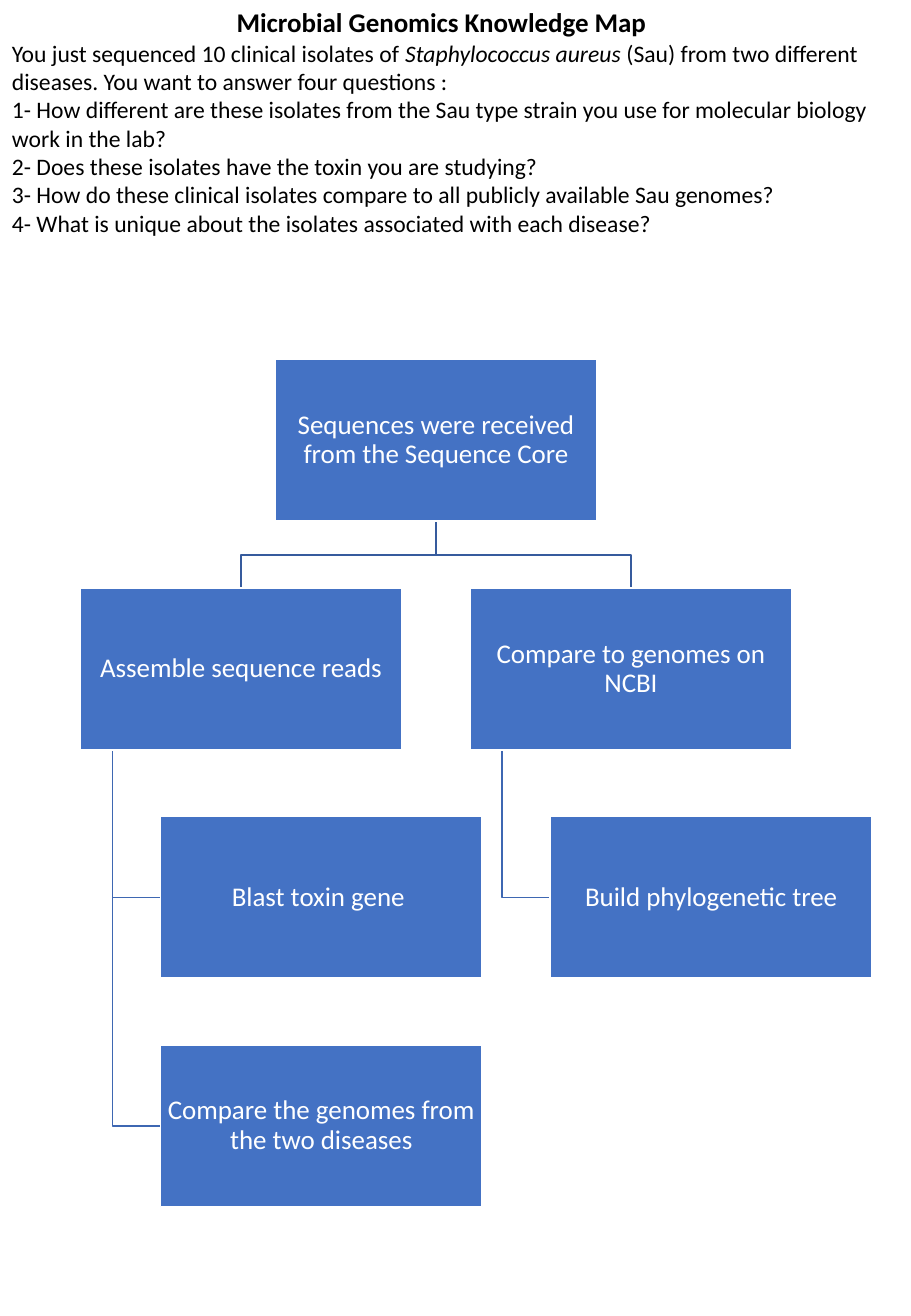
from pptx import Presentation
from pptx import util as u
from pptx.dml.color import RGBColor
from pptx.enum import shapes, text

BLUE = RGBColor(0x44, 0x72, 0xC4)
BRANCH = RGBColor(0x36, 0x5B, 0x9D)
TWIG = RGBColor(0x3E, 0x67, 0xB2)
WHITE = RGBColor(0xFF, 0xFF, 0xFF)
BLACK = RGBColor(0, 0, 0)

LEFT, TOP = 0.66, 2.96
COL, ROW, INDENT = 3.21, 1.88, 0.66
BOX_W, BOX_H = 2.65, 1.33

prs = Presentation()
prs.slide_width, prs.slide_height = u.Inches(7.5), u.Inches(10.83)
s = prs.slides.add_slide(prs.slide_layouts[6])


def add_run(p, words, size, color, bold=False, italic=False):
    r = p.add_run()
    r.text = words
    r.font.name = "Calibri"
    r.font.size = u.Pt(size)
    r.font.color.rgb = color
    r.font.bold = bold
    r.font.italic = italic


def add_elbow(points, color):
    pts = [(u.Inches(x), u.Inches(y)) for x, y in points]
    fb = s.shapes.build_freeform(*pts[0])
    fb.add_line_segments(pts[1:], close=False)
    sp = fb.convert_to_shape()
    sp.shadow.inherit = False
    sp.fill.background()
    sp.line.color.rgb = color
    sp.line.width = u.Pt(1)


root_x = LEFT + COL / 2 + BOX_W / 2
root_bottom, branch_top = TOP + BOX_H, TOP + ROW
mid_y = (root_bottom + branch_top) / 2
for col, children in enumerate([2, 1]):
    x = LEFT + col * COL
    branch_x = x + BOX_W / 2
    add_elbow([(root_x, root_bottom), (root_x, mid_y),
               (branch_x, mid_y), (branch_x, branch_top)], BRANCH)
    stem_x = x + BOX_W / 10
    for child in range(children):
        y = TOP + (2 + child) * ROW + BOX_H / 2
        add_elbow([(stem_x, branch_top + BOX_H), (stem_x, y), (x + INDENT, y)], TWIG)

boxes = [
    (0.5, 0, 0, "Sequences were received from the Sequence Core"),
    (0, 1, 0, "Assemble sequence reads"),
    (0, 2, 1, "Blast toxin gene "),
    (0, 3, 1, "Compare the genomes from the two diseases"),
    (1, 1, 0, "Compare to genomes on NCBI"),
    (1, 2, 1, "Build phylogenetic tree"),
]
for col, row, level, label in boxes:
    sp = s.shapes.add_shape(
        shapes.MSO_SHAPE.RECTANGLE,
        u.Inches(LEFT + col * COL + level * INDENT), u.Inches(TOP + row * ROW),
        u.Inches(BOX_W), u.Inches(BOX_H))
    sp.shadow.inherit = False
    sp.fill.solid()
    sp.fill.fore_color.rgb = BLUE
    sp.line.color.rgb = WHITE
    sp.line.width = u.Pt(1)
    tf = sp.text_frame
    tf.word_wrap = True
    tf.vertical_anchor = text.MSO_ANCHOR.MIDDLE
    tf.margin_left = tf.margin_right = tf.margin_top = tf.margin_bottom = u.Inches(0.01)
    p = tf.paragraphs[0]
    p.alignment = text.PP_ALIGN.CENTER
    p.line_spacing = 0.9
    add_run(p, label, 16, WHITE)

tf = s.shapes.add_textbox(0, 0, u.Inches(7.27), u.Inches(2.02)).text_frame
tf.word_wrap = True
p = tf.paragraphs[0]
p.alignment = text.PP_ALIGN.CENTER
add_run(p, "Microbial Genomics Knowledge Map", 16, BLACK, bold=True)

p = tf.add_paragraph()
add_run(p, "You just sequenced 10 clinical isolates of ", 14, BLACK)
add_run(p, "Staphylococcus aureus ", 14, BLACK, italic=True)
add_run(p, "(Sau) from two different diseases. You want to answer four questions :", 14, BLACK)

questions = [
    "How different are these isolates from the Sau type strain you use for molecular biology work in the lab?",
    "Does these isolates have the toxin you are studying?",
    "How do these clinical isolates compare to all publicly available Sau genomes?",
    "What is unique about the isolates associated with each disease?",
]
for number, question in enumerate(questions, 1):
    add_run(tf.add_paragraph(), f"{number}- {question}", 14, BLACK)

prs.save("out.pptx")
